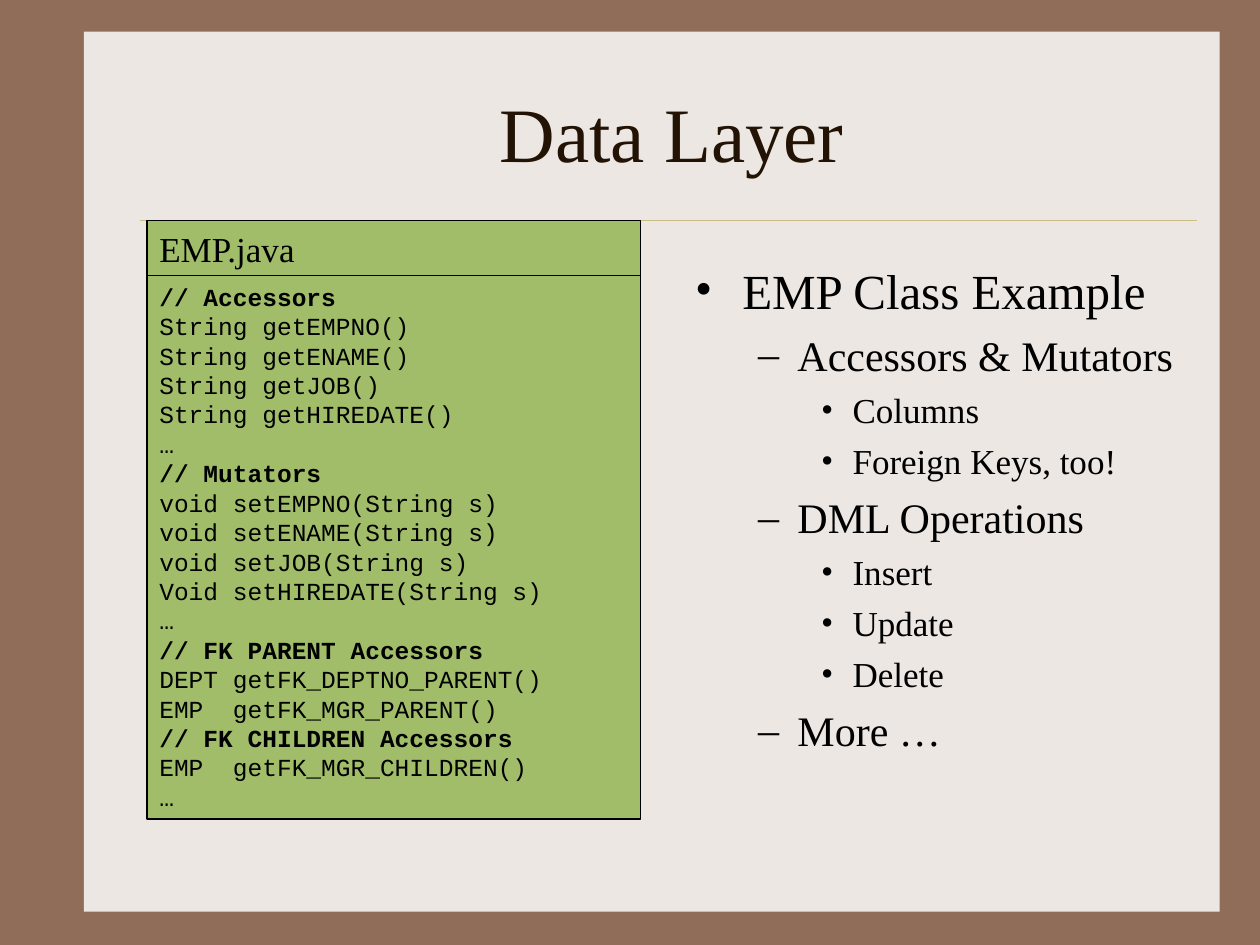
from lxml.etree import SubElement
from pptx import Presentation
from pptx.dml.color import RGBColor
from pptx.enum.shapes import MSO_CONNECTOR, MSO_SHAPE
from pptx.enum.text import MSO_ANCHOR, MSO_AUTO_SIZE, PP_ALIGN
from pptx.oxml.ns import qn
from pptx.util import Pt

THEME = {
    "frame": RGBColor.from_string("906D58"),
    "panel": RGBColor.from_string("EDE7E3"),
    "rule": RGBColor.from_string("CBBD83"),
    "title": RGBColor.from_string("221304"),
    "text": RGBColor.from_string("000000"),
    "class_box": RGBColor.from_string("A1BD69"),
    "serif": "Times New Roman",
    "mono": "Courier New",
    "title_size": Pt(44),
    "header_size": Pt(20),
    "code_size": Pt(14),
    "level_sizes": [Pt(28), Pt(24), Pt(20)],
}

# Per list level: bullet, left margin, hanging indent, space before
LEVELS = [("•", 27, 27, 7), ("–", 58.5, 22.5, 6), ("•", 90, 18, 5)]

OUTLINE = [
    (0, "EMP Class Example"),
    (1, "Accessors & Mutators"),
    (2, "Columns"),
    (2, "Foreign Keys, too!"),
    (1, "DML Operations"),
    (2, "Insert"),
    (2, "Update"),
    (2, "Delete"),
    (1, "More …"),
]

# One entry per paragraph; a newline is a line break inside it
CODE = [
    "// Accessors",
    "String getEMPNO()",
    "String getENAME()",
    "String getJOB()",
    "String getHIREDATE()",
    "…",
    "// Mutators",
    "void setEMPNO(String s)",
    "void setENAME(String s)",
    "void setJOB(String s)",
    "Void setHIREDATE(String s)",
    "…",
    "// FK PARENT Accessors",
    "DEPT getFK_DEPTNO_PARENT()",
    "EMP  getFK_MGR_PARENT()\n// FK CHILDREN Accessors",
    "EMP  getFK_MGR_CHILDREN()",
    "…",
]


def add_text(paragraph, text, font, size, color, bold=False):
    run = paragraph.add_run()
    run.text = text
    for name, value in {"name": font, "size": size, "bold": bold}.items():
        setattr(run.font, name, value)
    run.font.color.rgb = color


def add_box(shapes, kind, left, top, width, height, fill):
    shape = shapes.add_shape(kind, Pt(left), Pt(top), Pt(width), Pt(height))
    shape.shadow.inherit = False
    shape.fill.solid()
    shape.fill.fore_color.rgb = fill
    return shape


presentation = Presentation()
presentation.slide_width, presentation.slide_height = Pt(720), Pt(540)
slide = presentation.slides.add_slide(presentation.slide_layouts[1])
title, body = slide.placeholders

# Background, panel and rule, behind the placeholders
slide.background.fill.solid()
slide.background.fill.fore_color.rgb = THEME["frame"]
panel = add_box(slide.shapes, MSO_SHAPE.RECTANGLE, 48, 18, 649, 503, THEME["panel"])
panel.line.fill.background()
rule = slide.shapes.add_connector(MSO_CONNECTOR.STRAIGHT, Pt(80), Pt(126), Pt(684), Pt(126))
rule.line.color.rgb = THEME["rule"]
rule.line.width = Pt(0.25)
SubElement(rule._element.spPr, qn("a:effectLst"))
for position, shape in enumerate((panel, rule), start=2):
    slide.shapes._spTree.insert(position, shape._element)

# Title and list placeholders
for placeholder, anchor, bounds in (
    (title, MSO_ANCHOR.MIDDLE, (84, 30, 600, 90)),
    (body, MSO_ANCHOR.TOP, (390, 138, 294, 324)),
):
    for name, value in zip(("left", "top", "width", "height"), bounds):
        setattr(placeholder, name, Pt(value))
    frame_format = {"auto_size": MSO_AUTO_SIZE.NONE, "vertical_anchor": anchor, "word_wrap": True}
    for name, value in frame_format.items():
        setattr(placeholder.text_frame, name, value)

heading = title.text_frame.paragraphs[0]
heading.alignment = PP_ALIGN.CENTER
add_text(heading, "Data Layer", THEME["serif"], THEME["title_size"], THEME["title"])

for index, (level, text) in enumerate(OUTLINE):
    paragraph = body.text_frame.add_paragraph() if index else body.text_frame.paragraphs[0]
    bullet, margin, hanging, space = LEVELS[level]
    paragraph.level = level
    properties = paragraph._p.get_or_add_pPr()
    properties.set("marL", str(Pt(margin)))
    properties.set("indent", str(-Pt(hanging)))
    SubElement(properties, qn("a:buFont")).set("typeface", THEME["serif"])
    SubElement(properties, qn("a:buChar")).set("char", bullet)
    paragraph.space_before = Pt(space if index else 0)
    add_text(paragraph, text, THEME["serif"], THEME["level_sizes"][level], THEME["text"])
# The first paragraph's gap is kept as a larger top inset
body.text_frame.margin_top = Pt(3.6 + LEVELS[0][3])

# Class box: header above code
class_group = slide.shapes.add_group_shape()
for top, height, anchor, wrap, lines, font, size in (
    (126, 32, MSO_ANCHOR.MIDDLE, False, ["EMP.java"], THEME["serif"], THEME["header_size"]),
    (157.5, 310.5, MSO_ANCHOR.TOP, True, CODE, THEME["mono"], THEME["code_size"]),
):
    box = add_box(class_group.shapes, MSO_SHAPE.FLOWCHART_PROCESS,
                  84, top, 282, height, THEME["class_box"])
    box.line.color.rgb = THEME["text"]
    box.line.width = Pt(0.75)
    box.text_frame.vertical_anchor = anchor
    box.text_frame.word_wrap = wrap
    for index, entry in enumerate(lines):
        paragraph = box.text_frame.add_paragraph() if index else box.text_frame.paragraphs[0]
        paragraph.alignment = PP_ALIGN.LEFT
        for part, line in enumerate(entry.split("\n")):
            if part:
                paragraph.add_line_break()
            add_text(paragraph, line, font, size, THEME["text"], bold=line.startswith("//"))

presentation.save("out.pptx")
